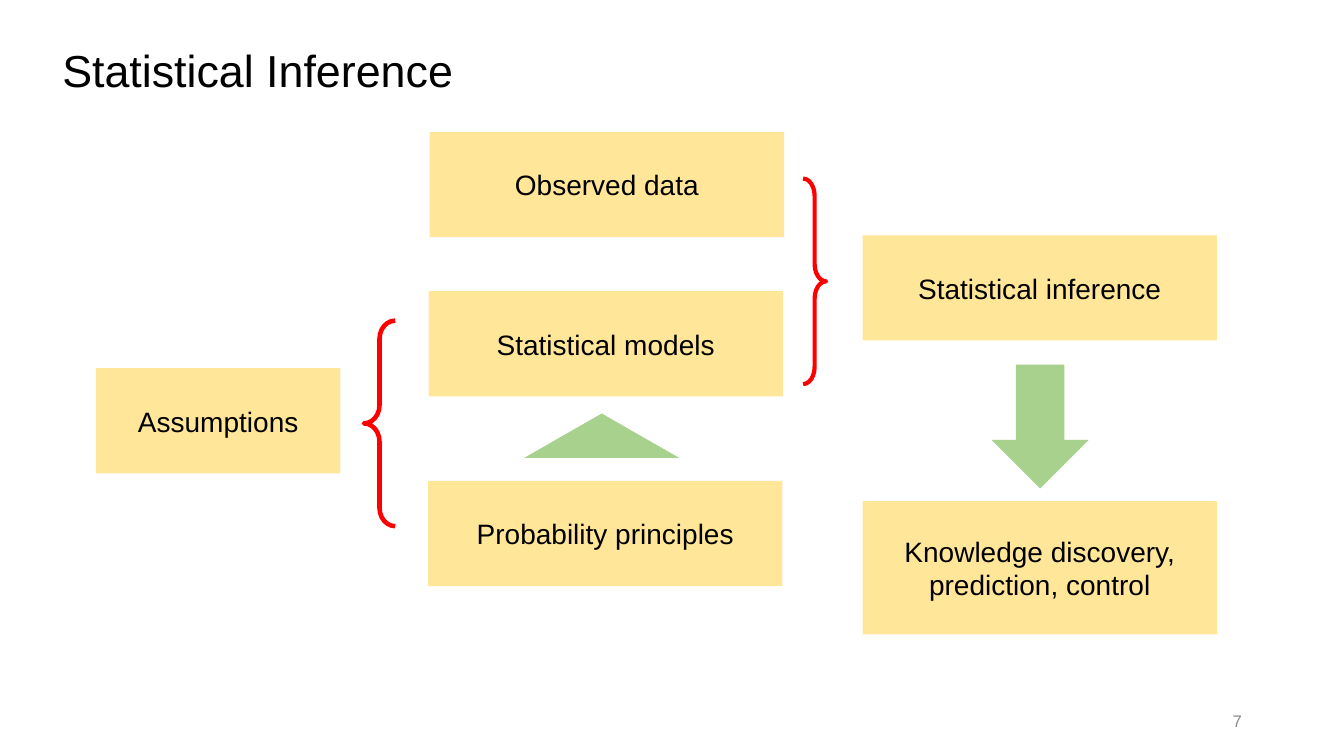
import pptx
import pptx.util
import pptx.dml.color
import pptx.enum.shapes
import pptx.enum.text

Cm = pptx.util.Cm
Pt = pptx.util.Pt
Shape = pptx.enum.shapes.MSO_SHAPE
Align = pptx.enum.text.PP_ALIGN

COLOURS = {
    "box": "FFE699",
    "arrow": "A9D18E",
    "brace": "FF0000",
    "text": "000000",
    "number": "8C8C8C",
}
BOX_WIDTH = 8.93
BOX_HEIGHT = 2.65
BRACE_HEIGHT = 5.18


def colour(name):
    return pptx.dml.color.RGBColor.from_string(COLOURS[name])


def write(shape, text, size, alignment, colour_name="text"):
    frame = shape.text_frame
    frame.word_wrap = True
    frame.vertical_anchor = pptx.enum.text.MSO_ANCHOR.MIDDLE
    frame.text = text
    paragraph = frame.paragraphs[0]
    paragraph.alignment = alignment
    paragraph.font.name = "Arial"
    paragraph.font.size = Pt(size)
    paragraph.font.color.rgb = colour(colour_name)


def remove_margins(shape):
    frame = shape.text_frame
    frame.margin_left = frame.margin_right = 0
    frame.margin_top = frame.margin_bottom = 0


def add_title(slide, text):
    title = slide.shapes.title
    title.left, title.top = Cm(1.57), Cm(1.04)
    title.width, title.height = Cm(21.87), Cm(1.42)
    remove_margins(title)
    write(title, text, 32, Align.LEFT)


def add_filled(slide, kind, colour_name, left, top, width, height):
    shape = slide.shapes.add_shape(kind, Cm(left), Cm(top), Cm(width), Cm(height))
    shape.shadow.inherit = False
    shape.fill.solid()
    shape.fill.fore_color.rgb = colour(colour_name)
    shape.line.fill.background()
    return shape


def add_box(slide, text, left, top, width=BOX_WIDTH, height=BOX_HEIGHT):
    box = add_filled(slide, Shape.RECTANGLE, "box", left, top, width, height)
    remove_margins(box)
    write(box, text, 20, Align.CENTER)


def add_brace(slide, kind, left, top, width, curve, weight):
    brace = slide.shapes.add_shape(kind, Cm(left), Cm(top), Cm(width), Cm(BRACE_HEIGHT))
    brace.shadow.inherit = False
    brace.adjustments[0] = curve
    brace.fill.background()
    brace.line.color.rgb = colour("brace")
    brace.line.width = Pt(weight)


def add_page_number(slide, number):
    box = slide.shapes.add_textbox(Cm(23.93), Cm(17.65), Cm(7.62), Cm(1.02))
    write(box, number, 12, Align.RIGHT, "number")


def main():
    presentation = pptx.Presentation()
    presentation.slide_width = Cm(33.87)
    presentation.slide_height = Cm(19.05)
    slide = presentation.slides.add_slide(presentation.slide_layouts[5])

    add_title(slide, "Statistical Inference")
    add_brace(slide, Shape.RIGHT_BRACE, 20.24, 4.5, 0.58, 0.75, 3)
    add_brace(slide, Shape.LEFT_BRACE, 9.17, 8.08, 0.79, 0.58, 3.25)
    add_box(slide, "Assumptions", 2.42, 9.28, width=6.16)
    add_box(slide, "Observed data", 10.83, 3.33)
    add_box(slide, "Statistical models", 10.8, 7.34)
    add_box(slide, "Probability principles", 10.79, 12.12)
    add_box(slide, "Statistical inference", 21.74, 5.93)
    add_box(slide, "Knowledge discovery, prediction, control", 21.74, 12.63, height=3.36)
    add_filled(slide, Shape.ISOSCELES_TRIANGLE, "arrow", 13.21, 10.42, 3.91, 1.12)
    add_filled(slide, Shape.DOWN_ARROW, "arrow", 24.99, 9.19, 2.45, 3.12)
    add_page_number(slide, "7")

    presentation.save("out.pptx")


if __name__ == "__main__":
    main()
